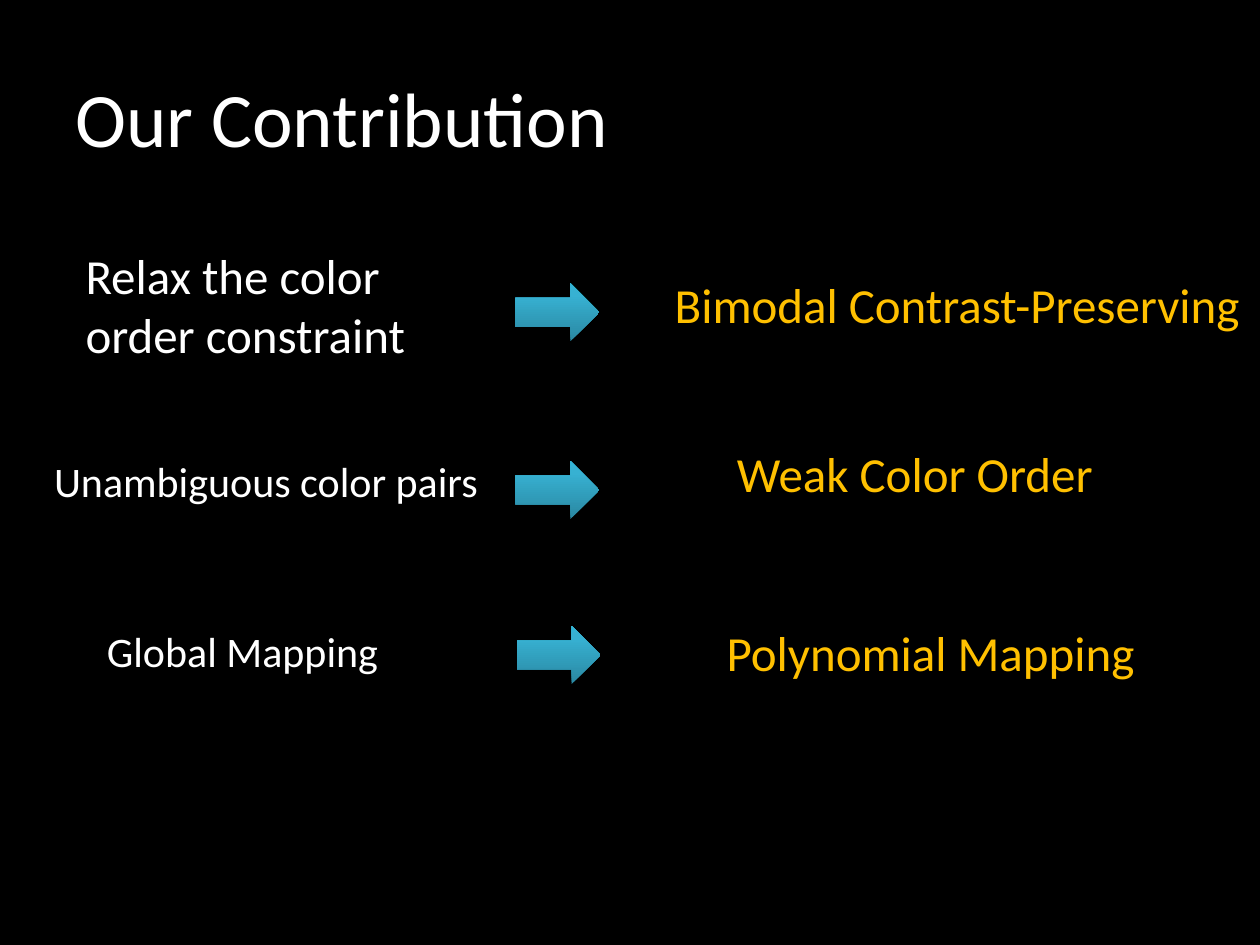
from copy import deepcopy

from pptx import Presentation
from pptx.dml.color import RGBColor
from pptx.enum.shapes import MSO_SHAPE
from pptx.enum.text import MSO_ANCHOR, MSO_AUTO_SIZE, PP_ALIGN
from pptx.oxml.ns import qn
from pptx.util import Pt

BLACK = RGBColor(0x00, 0x00, 0x00)
WHITE = RGBColor(0xFF, 0xFF, 0xFF)
GOLD = RGBColor(0xFF, 0xC0, 0x00)
ARROW_STOPS = [
    (0, RGBColor(0x2A, 0x88, 0xA2)),
    (0.8, RGBColor(0x37, 0xB1, 0xD2)),
    (1, RGBColor(0x34, 0xB4, 0xD6)),
]
FONT_NAME = "Calibri"


def format_runs(paragraph, size, color):
    paragraph.alignment = PP_ALIGN.LEFT
    for run in paragraph.runs:
        run.font.name = FONT_NAME
        run.font.size = Pt(size)
        run.font.color.rgb = color


def set_title(slide, text):
    title = slide.shapes.title
    title.left, title.top, title.width, title.height = Pt(36), Pt(21.6), Pt(648), Pt(90)
    title.text_frame.text = text
    title.text_frame.vertical_anchor = MSO_ANCHOR.MIDDLE
    format_runs(title.text_frame.paragraphs[0], 44, WHITE)


def add_label(slide, box, text, size, color, indent=0, wrap=True):
    shape = slide.shapes.add_textbox(*[Pt(length) for length in box])
    text_frame = shape.text_frame
    text_frame.text = text
    text_frame.word_wrap = wrap
    text_frame.auto_size = MSO_AUTO_SIZE.SHAPE_TO_FIT_TEXT
    for paragraph in text_frame.paragraphs:
        if indent:
            paragraph._p.get_or_add_pPr().set("marL", str(Pt(indent)))
        format_runs(paragraph, size, color)


def add_arrow(slide, left, top):
    shape = slide.shapes.add_shape(
        MSO_SHAPE.RIGHT_ARROW, Pt(left), Pt(top), Pt(48), Pt(33)
    )
    shape.shadow.inherit = False
    shape.line.fill.background()
    shape.fill.gradient()
    shape.fill.gradient_angle = 90
    stop_list = shape._element.spPr.find(qn("a:gradFill")).find(qn("a:gsLst"))
    stop_list.append(deepcopy(stop_list[0]))
    for stop, (position, color) in zip(shape.fill.gradient_stops, ARROW_STOPS):
        stop.position = position
        stop.color.rgb = color


def main():
    presentation = Presentation()
    presentation.slide_width, presentation.slide_height = Pt(720), Pt(540)
    slide = presentation.slides.add_slide(presentation.slide_layouts[5])
    slide.background.fill.solid()
    slide.background.fill.fore_color.rgb = BLACK

    set_title(slide, "Our Contribution")

    add_label(slide, (41.8, 136.8, 210, 75),
              "Relax the color\norder constraint", 28, WHITE)
    add_label(slide, (23.8, 257, 259.2, 36),
              "Unambiguous color pairs", 24, WHITE, wrap=False)
    add_label(slide, (54, 354.2, 170.6, 36),
              "Global Mapping", 24, WHITE, wrap=False)

    for left, top in [(294.5, 162), (294.5, 263.5), (295.2, 357.8)]:
        add_arrow(slide, left, top)

    add_label(slide, (372.2, 153.4, 347.8, 41),
              "Bimodal Contrast-Preserving", 28, GOLD, indent=6.3, wrap=False)
    add_label(slide, (378, 249.8, 264, 41),
              "Weak Color Order", 28, GOLD, indent=36)
    add_label(slide, (372.2, 352.1, 335.5, 41),
              "Polynomial Mapping", 28, GOLD, indent=36)

    presentation.save("out.pptx")


if __name__ == "__main__":
    main()
